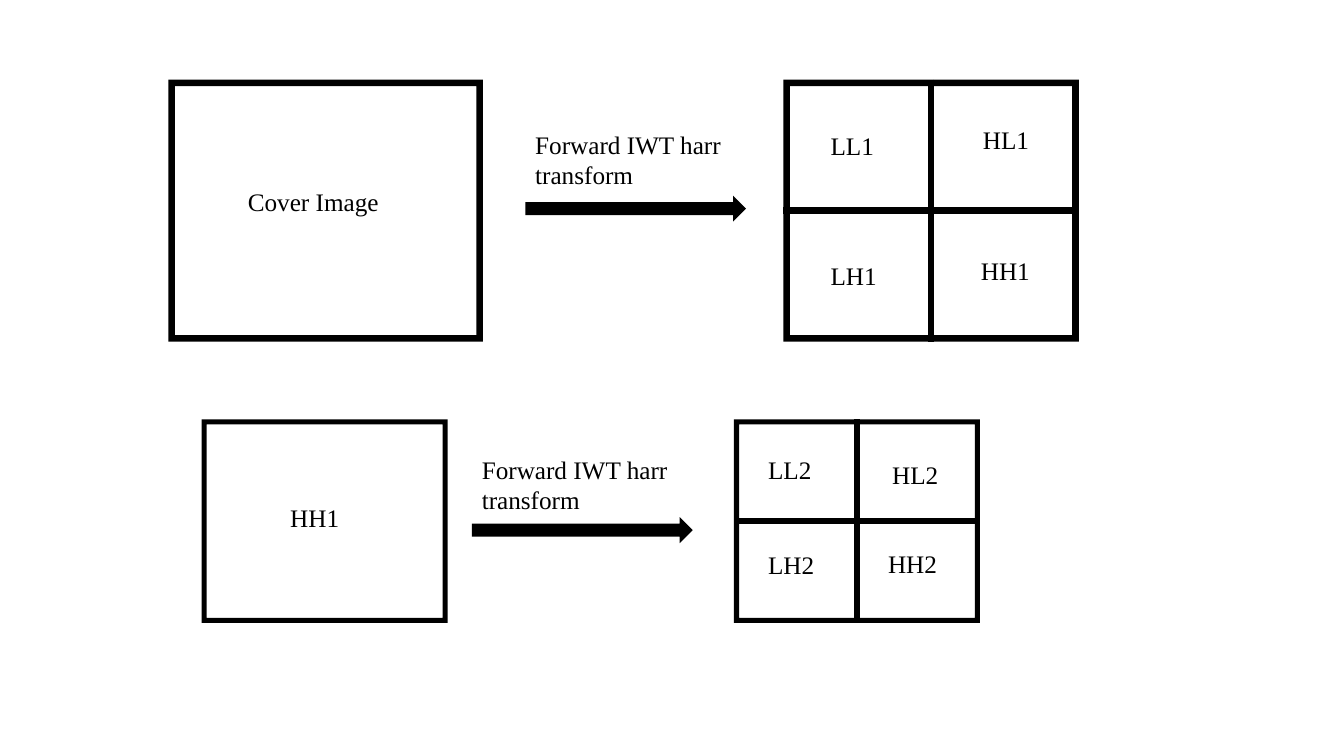
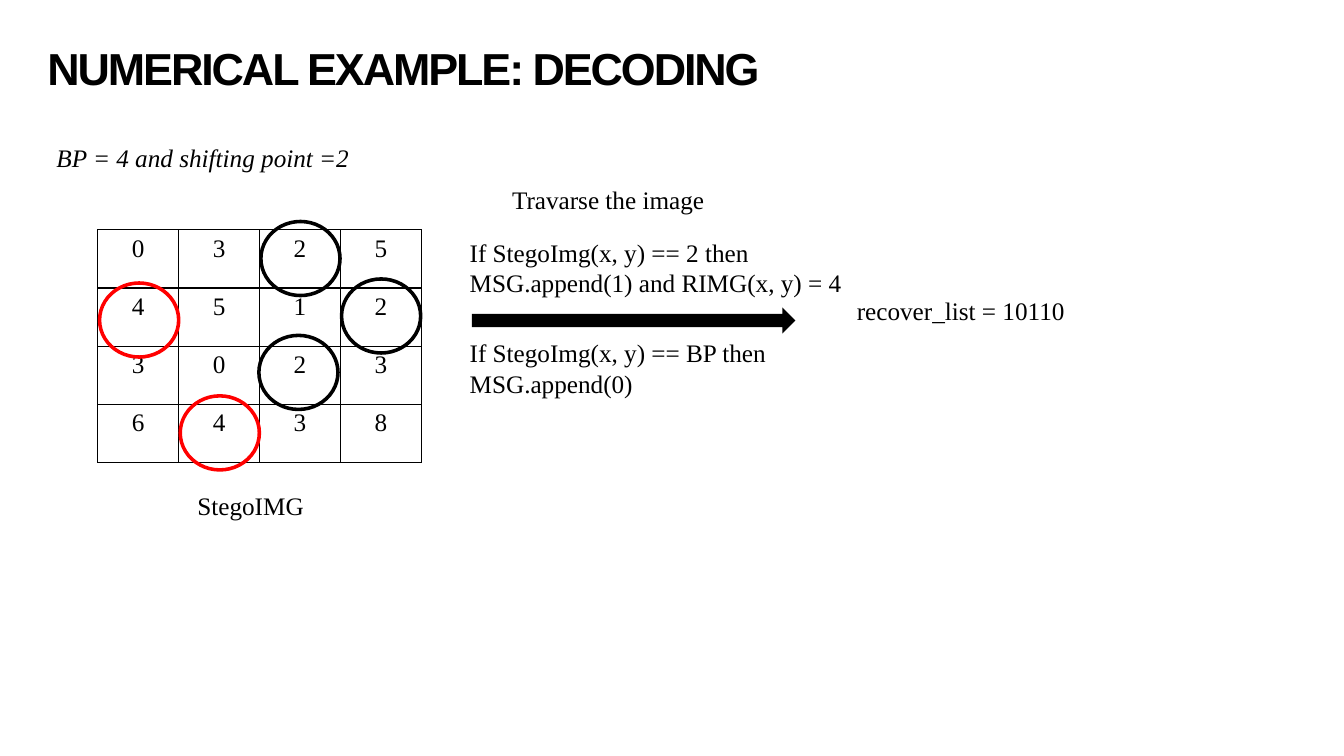
import pptx
import pptx.dml.color
import pptx.enum.shapes
import pptx.enum.text
import pptx.oxml
import pptx.oxml.ns
import pptx.util

Inches = pptx.util.Inches
Pt = pptx.util.Pt
SHAPE = pptx.enum.shapes.MSO_SHAPE
ALIGN = pptx.enum.text.PP_ALIGN
ANCHOR = pptx.enum.text.MSO_ANCHOR

BLACK = pptx.dml.color.RGBColor(0x00, 0x00, 0x00)
RED = pptx.dml.color.RGBColor(0xFF, 0x00, 0x00)

BODY_FONT = {"name": "Times New Roman", "size": Pt(18)}
NOTE_FONT = {**BODY_FONT, "italic": True}
TITLE_FONT = {"name": "Arial", "size": Pt(32), "bold": True}
GROWING = {"auto_size": pptx.enum.text.MSO_AUTO_SIZE.SHAPE_TO_FIT_TEXT}
FLUSH = {"margin_left": 0, "margin_top": 0, "margin_right": 0, "margin_bottom": 0}

FRAME_ADJUST = 0.025
RING_ADJUST = 0.046
RING_SIZE = (0.82, 0.77)
ARROW_HEIGHT = 0.26
LABEL_HEIGHT = 0.4
BAND_WIDTH = 0.73

STEGO_VALUES = [
    [0, 3, 2, 5],
    [4, 5, 1, 2],
    [3, 0, 2, 3],
    [6, 4, 3, 8],
]
RINGS = [
    (3.37, 2.75, BLACK),
    (1.77, 3.91, RED),
    (2.55, 3.31, BLACK),
    (2.57, 2.18, BLACK),
    (0.97, 2.79, RED),
]


def apply_format(target, values):
    for key, value in values.items():
        setattr(target, key, value)


def write(paragraph, text, font=BODY_FONT):
    run = paragraph.add_run()
    run.text = text
    apply_format(run.font, font)
    run.font.color.rgb = BLACK
    return run


def add_label(slide, text, left, top, width, height=LABEL_HEIGHT,
              font=BODY_FONT, frame_format=GROWING, line_spacing=None):
    box = slide.shapes.add_textbox(*map(Inches, (left, top, width, height)))
    frame = box.text_frame
    apply_format(frame, {"word_wrap": True, **frame_format})
    frame.paragraphs[0].line_spacing = line_spacing
    return write(frame.paragraphs[0], text, font)


def add_solid(slide, preset, left, top, width, height, color=BLACK, adjust=None):
    solid = slide.shapes.add_shape(preset, *map(Inches, (left, top, width, height)))
    solid.shadow.inherit = False
    solid.fill.solid()
    solid.fill.fore_color.rgb = color
    solid.line.fill.background()
    if adjust is not None:
        solid.adjustments[0] = adjust


def add_divider(slide, x1, y1, x2, y2):
    divider = slide.shapes.add_connector(
        pptx.enum.shapes.MSO_CONNECTOR.STRAIGHT, *map(Inches, (x1, y1, x2, y2)))
    divider.line.color.rgb = BLACK
    divider.line.width = Pt(4.5)
    divider._element.spPr.append(pptx.oxml.parse_xml(
        f'<a:effectLst {pptx.oxml.ns.nsdecls("a")}/>'))


def add_frame(slide, left, top, width, height):
    add_solid(slide, SHAPE.FRAME, left, top, width, height, adjust=FRAME_ADJUST)


def add_quarters(slide, left, top, width, height, bands):
    add_frame(slide, left, top, width, height)
    middle_x, middle_y = left + width / 2, top + height / 2
    add_divider(slide, middle_x, top, middle_x, top + height)
    add_divider(slide, left + width, middle_y, left, middle_y)
    for band, x, y in bands:
        add_label(slide, band, x, y, BAND_WIDTH)


def add_arrow(slide, left, top, width):
    add_solid(slide, SHAPE.RIGHT_ARROW, left, top, width, ARROW_HEIGHT)


def add_transform(slide, left, text_top, arrow_top):
    width = 2.19
    add_arrow(slide, left, arrow_top, width)
    add_label(slide, "Forward IWT harr transform", left, text_top, width, 0.71)


def add_cell_borders(cell):
    properties = cell._tc.get_or_add_tcPr()
    for index, side in enumerate(("lnL", "lnR", "lnT", "lnB")):
        properties.insert(index, pptx.oxml.parse_xml(
            f'<a:{side} {pptx.oxml.ns.nsdecls("a")} w="{Pt(1)}">'
            f'<a:solidFill><a:srgbClr val="{BLACK}"/></a:solidFill></a:{side}>'))


def add_matrix(slide, values, left, top, width, height):
    row_count, column_count = len(values), len(values[0])
    matrix = slide.shapes.add_table(
        row_count, column_count, *map(Inches, (left, top, width, height))).table
    apply_format(matrix, {"first_row": False, "horz_banding": False})
    for column in matrix.columns:
        column.width = Inches(width / column_count)
    for row, row_values in zip(matrix.rows, values):
        row.height = Inches(height / row_count)
        for cell, value in zip(row.cells, row_values):
            cell.fill.background()
            add_cell_borders(cell)
            paragraph = cell.text_frame.paragraphs[0]
            paragraph.alignment = ALIGN.CENTER
            write(paragraph, str(value))


def add_title(slide, text):
    run = add_label(slide, text, 0.47, 0.47, 10.06, 0.47, TITLE_FONT,
                    {**FLUSH, "vertical_anchor": ANCHOR.MIDDLE}, 0.9)
    run.font._element.set("spc", "-150")


def build_transform_slide(slide):
    add_quarters(slide, 7.77, 0.79, 2.93, 2.6, [
        ("LL1", 8.14, 1.24), ("LH1", 8.14, 2.53),
        ("HL1", 9.65, 1.18), ("HH1", 9.63, 2.48)])
    add_frame(slide, 1.67, 0.79, 3.12, 2.6)
    add_label(slide, "Cover Image", 2.36, 1.8, 2.08)
    add_transform(slide, 5.21, 1.23, 1.94)

    add_frame(slide, 2, 4.16, 2.44, 2.02)
    add_label(slide, "HH1", 2.78, 4.93, 1.24)
    add_transform(slide, 4.68, 4.46, 5.13)
    add_quarters(slide, 7.28, 4.16, 2.44, 2.02, [
        ("LL2", 7.52, 4.46), ("LH2", 7.52, 5.4),
        ("HL2", 8.75, 4.51), ("HH2", 8.71, 5.39)])


def build_decoding_slide(slide):
    add_title(slide, "NUMERICAL EXAMPLE: DECODING")
    add_label(slide, "BP = 4 and shifting point =2", 0.56, 1.45, 3.05, 0.39,
              NOTE_FONT, FLUSH, 0.9)
    add_arrow(slide, 4.68, 3.05, 3.21)
    add_label(slide, "Travarse the image", 4.98, 1.78, 2.28)
    add_label(slide, "If StegoImg(x, y) == 2 then MSG.append(1) and RIMG(x, y) = 4",
              4.56, 2.3, 4.21, 0.71)
    add_label(slide, "If StegoImg(x, y) == BP then MSG.append(0)",
              4.56, 3.3, 4.21, 0.71)
    add_label(slide, "recover_list = 10110", 8.4, 2.88, 2.51)
    add_matrix(slide, STEGO_VALUES, 0.97, 2.28, 3.21, 2.31)
    add_label(slide, "StegoIMG", 1.86, 4.82, 1.97)
    for left, top, color in RINGS:
        add_solid(slide, SHAPE.DONUT, left, top, *RING_SIZE, color, RING_ADJUST)


def main():
    deck = pptx.Presentation()
    apply_format(deck, {"slide_width": Inches(13.33), "slide_height": Inches(7.5)})
    blank_layout = deck.slide_layouts[6]
    for build in (build_transform_slide, build_decoding_slide):
        build(deck.slides.add_slide(blank_layout))
    deck.save("out.pptx")


if __name__ == "__main__":
    main()
